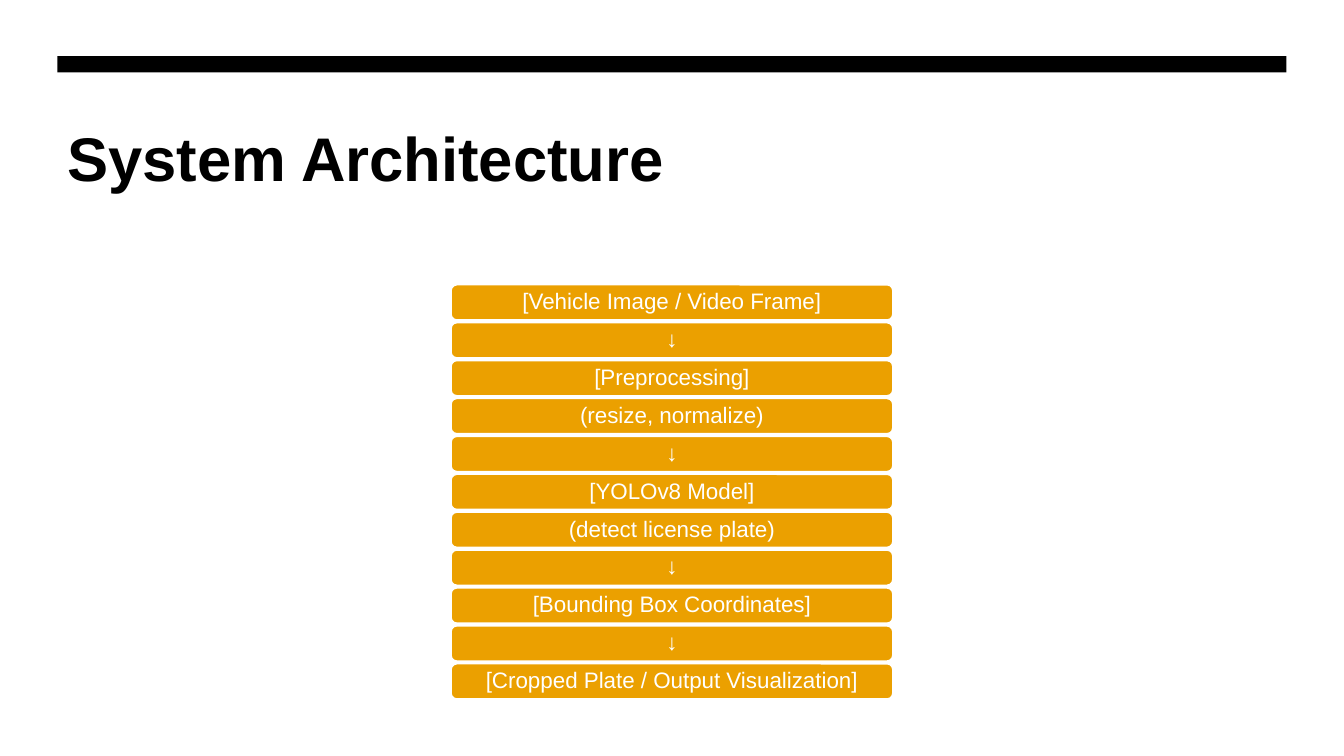
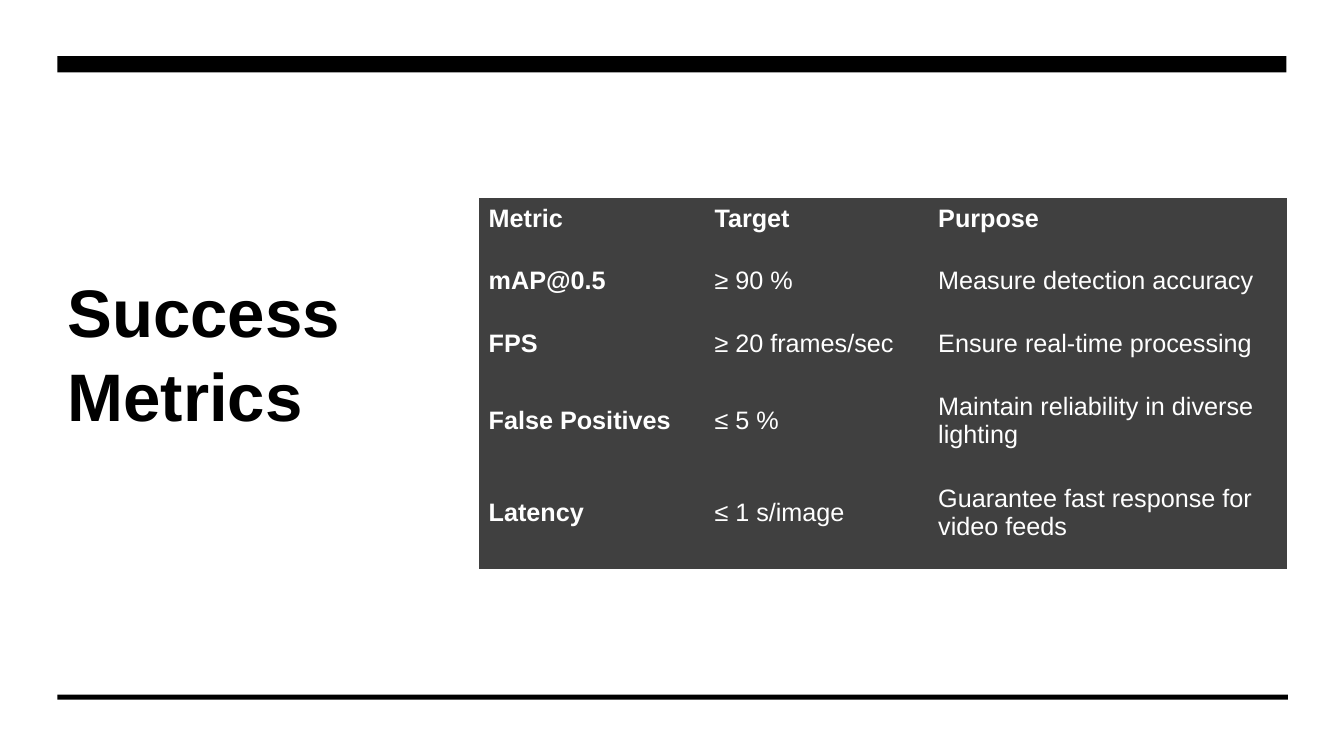
from dataclasses import dataclass

from lxml import etree
from pptx import Presentation
from pptx.dml.color import RGBColor
from pptx.enum.shapes import MSO_SHAPE
from pptx.enum.text import MSO_ANCHOR, PP_ALIGN
from pptx.oxml.ns import qn
from pptx.slide import Slide
from pptx.table import _Cell
from pptx.text.text import TextFrame
from pptx.util import Pt

RECTANGLE = MSO_SHAPE.RECTANGLE
ROUNDED = MSO_SHAPE.ROUNDED_RECTANGLE
TOP, MIDDLE, BOTTOM = MSO_ANCHOR.TOP, MSO_ANCHOR.MIDDLE, MSO_ANCHOR.BOTTOM
LEFT, CENTER = PP_ALIGN.LEFT, PP_ALIGN.CENTER

BLACK = RGBColor(0x00, 0x00, 0x00)
WHITE = RGBColor(0xFF, 0xFF, 0xFF)
AMBER = RGBColor(0xEB, 0xA0, 0x00)
CHARCOAL = RGBColor(0x40, 0x40, 0x40)
FONT = "Arial"
MARGIN = 41
STEP_PITCH = 27.07


@dataclass(frozen=True)
class Box:
    left: float
    top: float
    width: float
    height: float

    def lengths(self) -> tuple[Pt, Pt, Pt, Pt]:
        return Pt(self.left), Pt(self.top), Pt(self.width), Pt(self.height)


@dataclass(frozen=True)
class TextStyle:
    size: float
    color: RGBColor
    bold: bool = False
    align: PP_ALIGN = LEFT
    spacing: float = 1.0


@dataclass(frozen=True)
class Title:
    text: str
    box: Box
    style: TextStyle
    anchor: MSO_ANCHOR


TOP_BAND = Box(MARGIN, 40.2, 878, 11.5)
BOTTOM_RULE = Box(MARGIN, 496.2, 879, 3.6)
FIRST_STEP = Box(322, 203.2, 316, 25.6)
METRICS_BOX = Box(341.5, 141.2, 577.5, 265)

STEP_STYLE = TextStyle(16, WHITE, align=CENTER, spacing=0.9)
CELL_STYLE = TextStyle(18, WHITE)
LABEL_STYLE = TextStyle(18, WHITE, bold=True)

ARCHITECTURE_TITLE = Title(
    "System Architecture", Box(MARGIN, 77, 878, 115),
    TextStyle(44, BLACK, bold=True, spacing=1.1), TOP)
METRICS_TITLE = Title(
    "Success Metrics", Box(MARGIN, 78.5, 281, 235.5),
    TextStyle(48, BLACK, bold=True, spacing=1.04), BOTTOM)

STEPS = (
    "[Vehicle Image / Video Frame]",
    "↓",
    "[Preprocessing]",
    "(resize, normalize)",
    "↓",
    "[YOLOv8 Model]",
    "(detect license plate)",
    "↓",
    "[Bounding Box Coordinates]",
    "↓",
    "[Cropped Plate / Output Visualization]",
)
METRICS = (
    ("Metric", "Target", "Purpose"),
    ("mAP@0.5", "≥ 90 %", "Measure detection accuracy"),
    ("FPS", "≥ 20 frames/sec", "Ensure real-time processing"),
    ("False Positives", "≤ 5 %", "Maintain reliability in diverse lighting"),
    ("Latency", "≤ 1 s/image", "Guarantee fast response for video feeds"),
)
COLUMN_WIDTHS = (161.3, 159.8, 256.4)
ROW_HEIGHTS = (44.5, 44.5, 44.5, 65.75, 65.75)


def write(frame: TextFrame, text: str, style: TextStyle) -> None:
    frame.text = text
    paragraph = frame.paragraphs[0]
    paragraph.alignment = style.align
    paragraph.line_spacing = style.spacing
    font = paragraph.runs[0].font
    font.name = FONT
    font.size = Pt(style.size)
    font.bold = style.bold
    font.color.rgb = style.color


def draw_band(slide: Slide, box: Box) -> None:
    band = slide.shapes.add_shape(RECTANGLE, *box.lengths())
    band.shadow.inherit = False
    band.fill.solid()
    band.fill.fore_color.rgb = BLACK
    band.line.fill.background()


def draw_title(slide: Slide, title: Title) -> None:
    frame = slide.shapes.add_textbox(*title.box.lengths()).text_frame
    frame.word_wrap = True
    frame.vertical_anchor = title.anchor
    write(frame, title.text, title.style)


def draw_step(slide: Slide, index: int, text: str) -> None:
    box = Box(FIRST_STEP.left, FIRST_STEP.top + index * STEP_PITCH,
              FIRST_STEP.width, FIRST_STEP.height)
    step = slide.shapes.add_shape(ROUNDED, *box.lengths())
    step.adjustments[0] = 0.17
    step.shadow.inherit = False
    step.fill.solid()
    step.fill.fore_color.rgb = AMBER
    step.line.color.rgb = WHITE
    step.line.width = Pt(1.5)
    frame = step.text_frame
    frame.word_wrap = True
    frame.vertical_anchor = MIDDLE
    frame.margin_left = frame.margin_right = Pt(5)
    frame.margin_top = frame.margin_bottom = Pt(2.4)
    write(frame, text, STEP_STYLE)


def set_borders(cell: _Cell, left_edge: bool) -> None:
    properties = cell._tc.get_or_add_tcPr()
    for side in ("lnL", "lnR", "lnT", "lnB"):
        border = etree.SubElement(properties, qn(f"a:{side}"))
        if side == "lnL" and left_edge:
            border.set("w", str(Pt(1)))
            fill = etree.SubElement(border, qn("a:solidFill"))
            etree.SubElement(fill, qn("a:srgbClr")).set("val", str(WHITE))
        else:
            etree.SubElement(border, qn("a:noFill"))


def draw_metrics(slide: Slide) -> None:
    table = slide.shapes.add_table(
        len(METRICS), len(COLUMN_WIDTHS), *METRICS_BOX.lengths()).table
    table.horz_banding = False
    for column, width in zip(table.columns, COLUMN_WIDTHS):
        column.width = Pt(width)
    for row_index, (values, height) in enumerate(zip(METRICS, ROW_HEIGHTS)):
        table.rows[row_index].height = Pt(height)
        for column_index, value in enumerate(values):
            cell = table.cell(row_index, column_index)
            cell.vertical_anchor = MIDDLE
            cell.margin_left, cell.margin_right = Pt(7.6), Pt(10.8)
            cell.margin_top, cell.margin_bottom = Pt(2.2), Pt(16.5)
            set_borders(cell, left_edge=column_index == 0)
            cell.fill.solid()
            cell.fill.fore_color.rgb = CHARCOAL
            is_label = row_index == 0 or column_index == 0
            write(cell.text_frame, value,
                  LABEL_STYLE if is_label else CELL_STYLE)


def add_titled_slide(deck: Presentation, title: Title) -> Slide:
    slide = deck.slides.add_slide(deck.slide_layouts[6])
    draw_band(slide, TOP_BAND)
    draw_title(slide, title)
    return slide


def main() -> None:
    deck = Presentation()
    deck.slide_width, deck.slide_height = Pt(960), Pt(540)

    architecture = add_titled_slide(deck, ARCHITECTURE_TITLE)
    for index, text in enumerate(STEPS):
        draw_step(architecture, index, text)

    metrics = add_titled_slide(deck, METRICS_TITLE)
    draw_band(metrics, BOTTOM_RULE)
    draw_metrics(metrics)

    deck.save("out.pptx")


if __name__ == "__main__":
    main()
